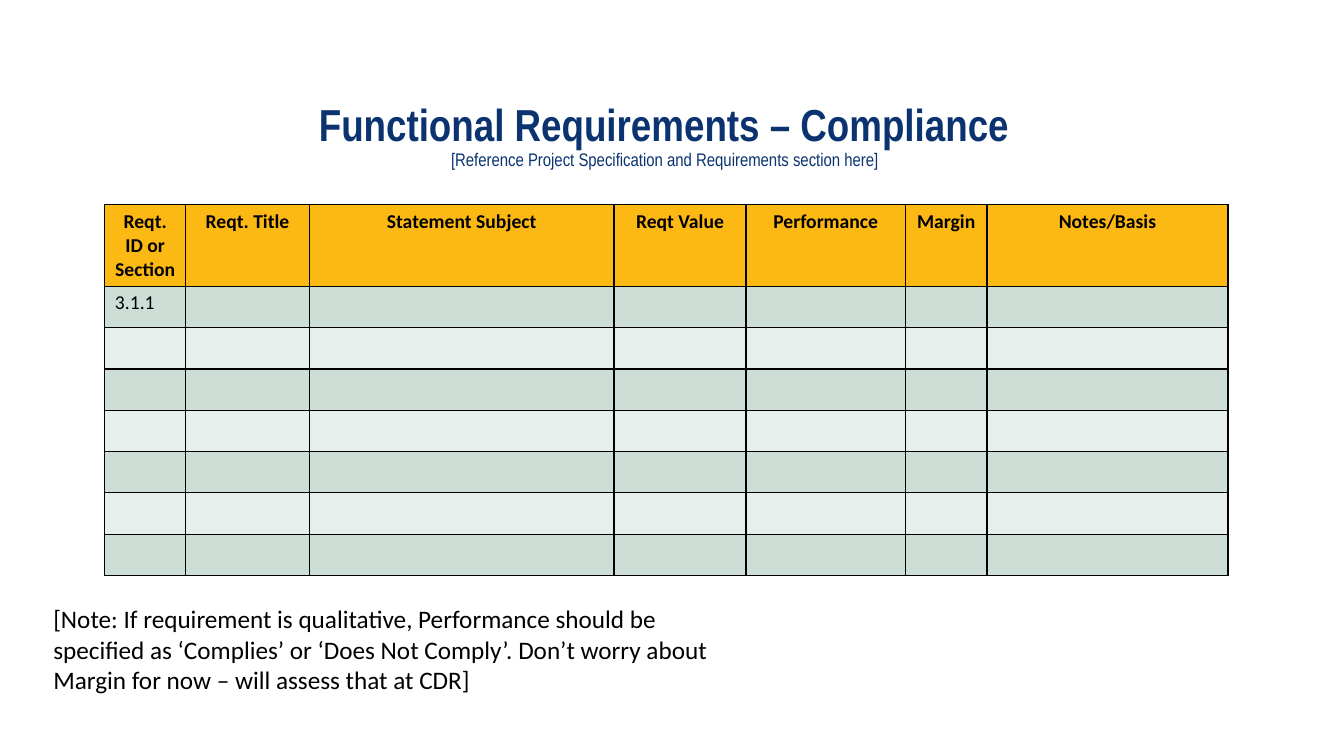
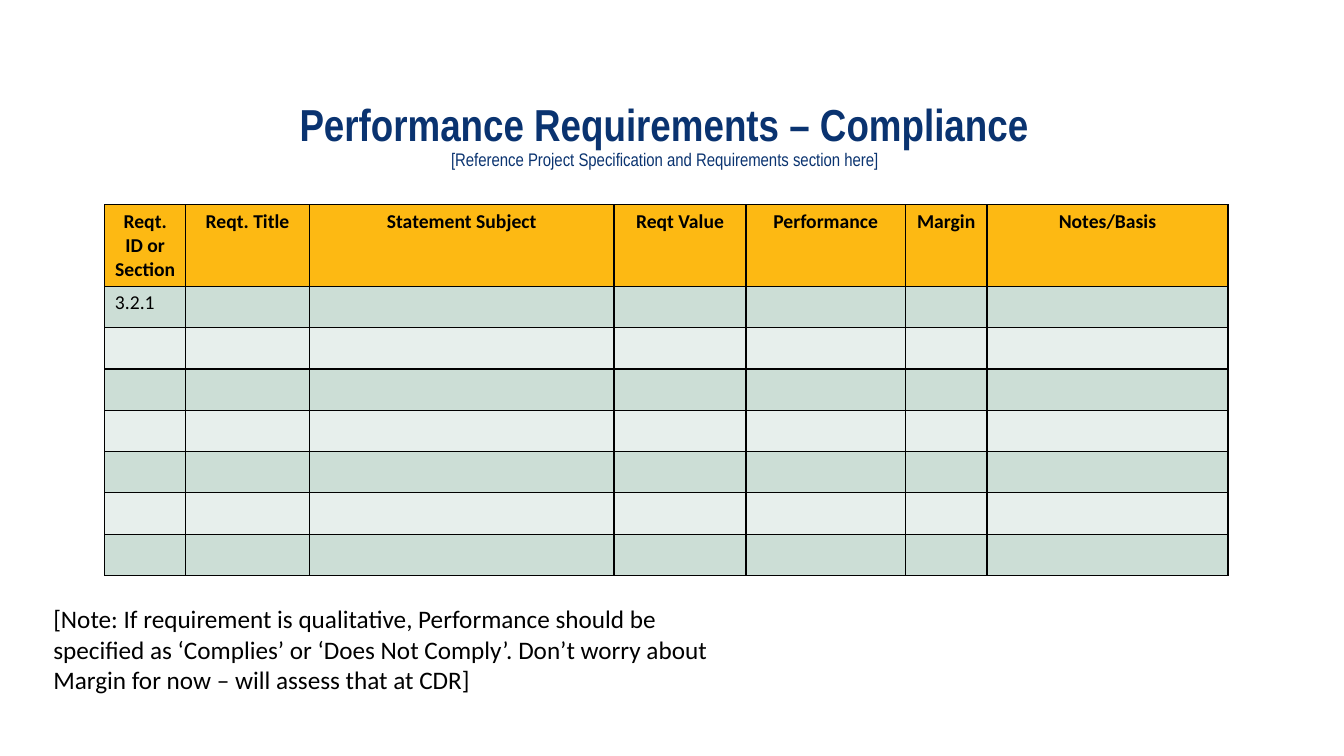
import pptx
import pptx.dml.color
import pptx.enum.text
import pptx.oxml
import pptx.oxml.ns
import pptx.util
from dataclasses import dataclass
from typing import Any, NamedTuple

PX = 9144  # EMU per px, 100 px to the inch
HUES = {
    "navy": "0A3370",
    "gold": "FDB913",
    "sage": "CCDED6",
    "mist": "E7EFEC",
    "ink": "000000",
}
ALIGN = pptx.enum.text.PP_ALIGN


class Box(NamedTuple):
    left: int
    top: int
    width: int
    height: int

    def emu(self) -> list[int]:
        return [side * PX for side in self]


@dataclass(frozen=True)
class Page:
    title: str
    first: str  # number of the first requirement


TITLE = Box(84, 96, 1150, 79)
GRID = Box(104, 203, 1114, 364)
NOTE = Box(43, 594, 671, 101)
HEADS = {
    "Reqt. ID or Section": 80,
    "Reqt. Title": 123,
    "Statement Subject": 302,
    "Reqt Value": 131,
    "Performance": 158,
    "Margin": 81,
    "Notes/Basis": 239,
}
ROWS = [53] + [41] * 7
REF = "[Reference Project Specification and Requirements section here]"
HINT = (
    "[Note: If requirement is qualitative, Performance should be specified as "
    "‘Complies’ or ‘Does Not Comply’. Don’t worry about Margin for now – will "
    "assess that at CDR]"
)
PAGES = [
    Page("Functional Requirements – Compliance", "3.1.1"),
    Page("Performance Requirements – Compliance", "3.2.1"),
]


def write(par: Any, text: str, *, size: int, font: str = "Calibri",
          hue: str = "ink", bold: bool = False, align: Any = ALIGN.LEFT) -> None:
    """Add one formatted run to a paragraph."""
    par.alignment = align
    run = par.add_run()
    run.text = text
    run.font.size = pptx.util.Pt(size)
    run.font.name = font
    run.font.bold = bold
    run.font.color.rgb = pptx.dml.color.RGBColor.from_string(HUES[hue])


def paint(cell: Any, hue: str) -> None:
    """Give a cell its black edges and its fill."""
    props = cell._tc.get_or_add_tcPr()
    for edge in "LRTB":
        props.append(pptx.oxml.parse_xml(
            f'<a:ln{edge} {pptx.oxml.ns.nsdecls("a")} w="12700"><a:solidFill>'
            f'<a:srgbClr val="{HUES["ink"]}"/></a:solidFill></a:ln{edge}>'))
    cell.fill.solid()
    cell.fill.fore_color.rgb = pptx.dml.color.RGBColor.from_string(HUES[hue])


def add_head(slide: Any, text: str) -> None:
    shape = slide.shapes.title
    shape.left, shape.top, shape.width, shape.height = TITLE.emu()
    frame = shape.text_frame
    frame.auto_size = pptx.enum.text.MSO_AUTO_SIZE.NONE
    frame.vertical_anchor = pptx.enum.text.MSO_ANCHOR.MIDDLE
    par = frame.paragraphs[0]
    par.line_spacing = 0.9
    style = {"font": "Arial Narrow", "hue": "navy", "align": ALIGN.CENTER}
    write(par, text, size=32, bold=True, **style)
    par.add_line_break()
    write(par, REF, size=13, **style)


def add_grid(slide: Any, first: str) -> None:
    table = slide.shapes.add_table(len(ROWS), len(HEADS), *GRID.emu()).table
    for col, width in zip(table.columns, HEADS.values()):
        col.width = width * PX
    for num, (row, height) in enumerate(zip(table.rows, ROWS)):
        row.height = height * PX
        hue = "gold" if num == 0 else ("mist", "sage")[num % 2]
        for cell in row.cells:
            paint(cell, hue)
    for col, text in enumerate(HEADS):
        par = table.cell(0, col).text_frame.paragraphs[0]
        write(par, text, size=14, bold=True, align=ALIGN.CENTER)
    write(table.cell(1, 0).text_frame.paragraphs[0], first, size=14)


def add_note(slide: Any) -> None:
    frame = slide.shapes.add_textbox(*NOTE.emu()).text_frame
    frame.word_wrap = True
    frame.auto_size = pptx.enum.text.MSO_AUTO_SIZE.SHAPE_TO_FIT_TEXT
    write(frame.paragraphs[0], HINT, size=18)


def main() -> None:
    deck = pptx.Presentation()
    deck.slide_width, deck.slide_height = 1333 * PX, 750 * PX
    for page in PAGES:
        slide = deck.slides.add_slide(deck.slide_layouts[5])  # title only
        add_head(slide, page.title)
        add_grid(slide, page.first)
        add_note(slide)
    deck.save("out.pptx")


if __name__ == "__main__":
    main()
